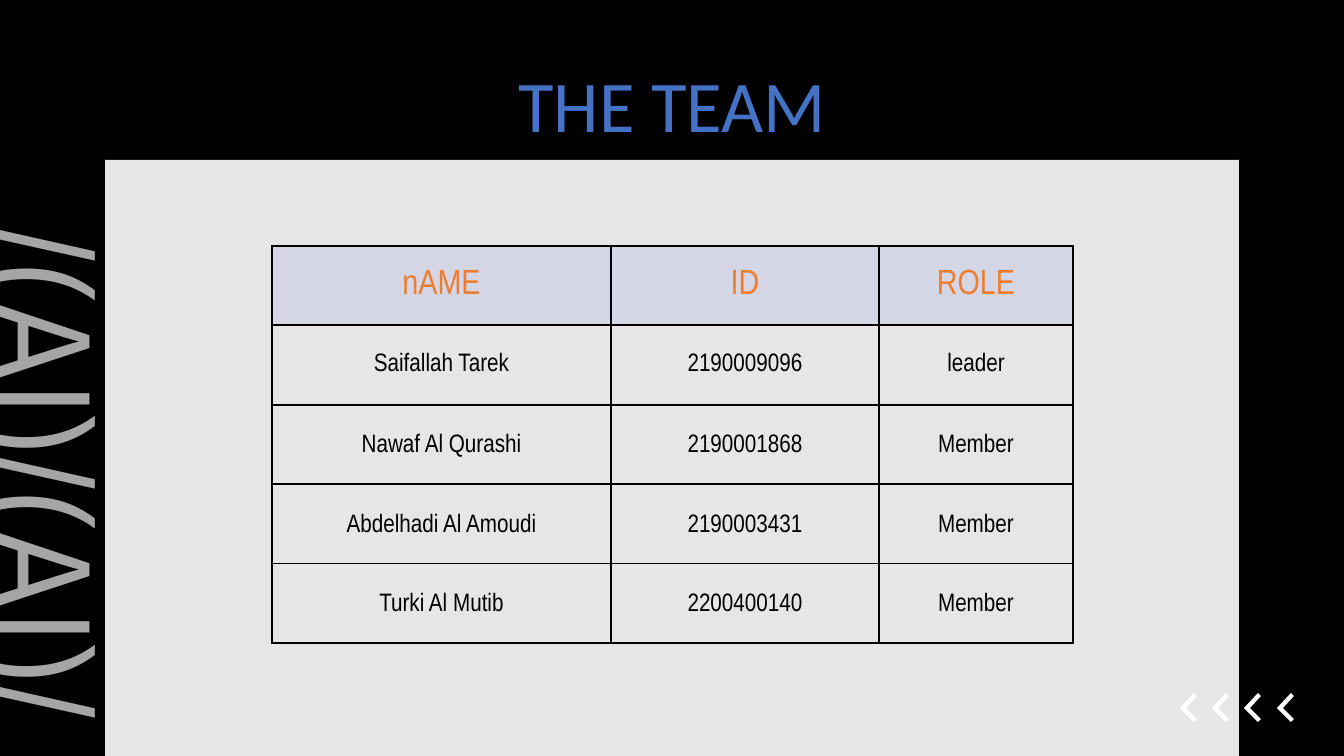
import pptx
import pptx.util
import pptx.dml.color
import pptx.enum.shapes
import pptx.enum.text
import pptx.oxml
import pptx.oxml.ns
import lxml.etree

EMU_PER_PIXEL = 914400 / 100.8
COLORS = {
    "black": "000000", "panel": "E7E6E6", "side": "A5A5A5", "title": "4472C4",
    "header_text": "ED7D31", "header_fill": "6E79E4", "white": "FFFFFF",
}


def px(length):
    return pptx.util.Emu(round(length * EMU_PER_PIXEL))


def format_text(frame, text, font, size, color, spacing, centered):
    frame.text = text
    paragraph = frame.paragraphs[0]
    paragraph.line_spacing = spacing
    if centered:
        paragraph.alignment = pptx.enum.text.PP_ALIGN.CENTER
    run_font = paragraph.runs[0].font
    run_font.name = font
    run_font.size = pptx.util.Pt(size)
    run_font.color.rgb = pptx.dml.color.RGBColor.from_string(COLORS[color])


presentation = pptx.Presentation()
presentation.slide_width = px(1344)
presentation.slide_height = px(756)
slide = presentation.slides.add_slide(presentation.slide_layouts[6])
slide.background.fill.solid()
slide.background.fill.fore_color.rgb = pptx.dml.color.RGBColor.from_string(COLORS["black"])

side_label = slide.shapes.add_textbox(px(-226), px(401), px(541), px(168))
side_label.rotation = 90
format_text(side_label.text_frame, "/(AI)/(AI)/", "Arial Narrow", 105.3, "side", 0.9, False)

panel = slide.shapes.add_shape(
    pptx.enum.shapes.MSO_SHAPE.RECTANGLE, px(105), px(160), px(1134), px(596))
panel.shadow.inherit = False
panel.fill.solid()
panel.fill.fore_color.rgb = pptx.dml.color.RGBColor.from_string(COLORS["panel"])
panel.line.fill.background()

title = slide.shapes.add_textbox(px(106), px(66), px(1132), px(85))
title.text_frame.vertical_anchor = pptx.enum.text.MSO_ANCHOR.MIDDLE
format_text(title.text_frame, "THE TEAM", "Calibri", 52, "title", 0.9, True)

for text_box in (side_label, title):
    frame = text_box.text_frame
    frame.word_wrap = True
    frame.margin_left = frame.margin_right = frame.margin_top = frame.margin_bottom = px(13)

chevrons = slide.shapes.add_group_shape()
CHEVRON = [(14, 0), (0, 15), (14, 29), (17, 26), (6, 15), (17, 3)]
for index in range(4):
    left = 1180 + index * 97 // 3
    points = [(left + x, 693 + y) for x, y in CHEVRON]
    builder = chevrons.shapes.build_freeform(*points[0], scale=EMU_PER_PIXEL)
    builder.add_line_segments(points[1:], close=True)
    chevron = builder.convert_to_shape()
    chevron.shadow.inherit = False
    chevron.fill.solid()
    chevron.fill.fore_color.rgb = pptx.dml.color.RGBColor.from_string(COLORS["white"])
    chevron.line.fill.background()

TEAM = [
    ("nAME", "ID", "ROLE"),
    ("Saifallah Tarek", "2190009096", "leader"),
    ("Nawaf Al Qurashi", "2190001868", "Member"),
    ("Abdelhadi Al Amoudi", "2190003431", "Member"),
    ("Turki Al Mutib", "2200400140", "Member"),
]
table = slide.shapes.add_table(len(TEAM), 3, px(272), px(246), px(801), px(397)).table
table.first_row = False
table.horz_banding = False
for column, width in zip(table.columns, (339, 268, 194)):
    column.width = px(width)

for row_index, member in enumerate(TEAM):
    is_header = row_index == 0
    for column_index, text in enumerate(member):
        cell = table.cell(row_index, column_index)
        format_text(cell.text_frame, text, "Arial Narrow", 25 if is_header else 18,
                    "header_text" if is_header else "black",
                    1.15 if row_index > 1 else 1.0, True)
        cell.vertical_anchor = pptx.enum.text.MSO_ANCHOR.MIDDLE
        cell.margin_left = cell.margin_right = px(10 if row_index < 2 else 7)
        cell.margin_top = cell.margin_bottom = px(10 if row_index < 2 else 0)
        properties = cell._tc.get_or_add_tcPr()
        if is_header:
            cell.fill.solid()
            cell.fill.fore_color.rgb = pptx.dml.color.RGBColor.from_string(COLORS["header_fill"])
            color_element = properties.find(".//" + pptx.oxml.ns.qn("a:srgbClr"))
            lxml.etree.SubElement(color_element, pptx.oxml.ns.qn("a:alpha"), val="14000")
        else:
            cell.fill.background()
        for position, side in enumerate(("lnL", "lnR", "lnT", "lnB")):
            border = pptx.oxml.parse_xml(
                f'<a:{side} {pptx.oxml.ns.nsdecls("a")} w="{pptx.util.Pt(1.5)}"><a:solidFill>'
                f'<a:srgbClr val="{COLORS["black"]}"/></a:solidFill></a:{side}>')
            properties.insert(position, border)

presentation.save("out.pptx")
